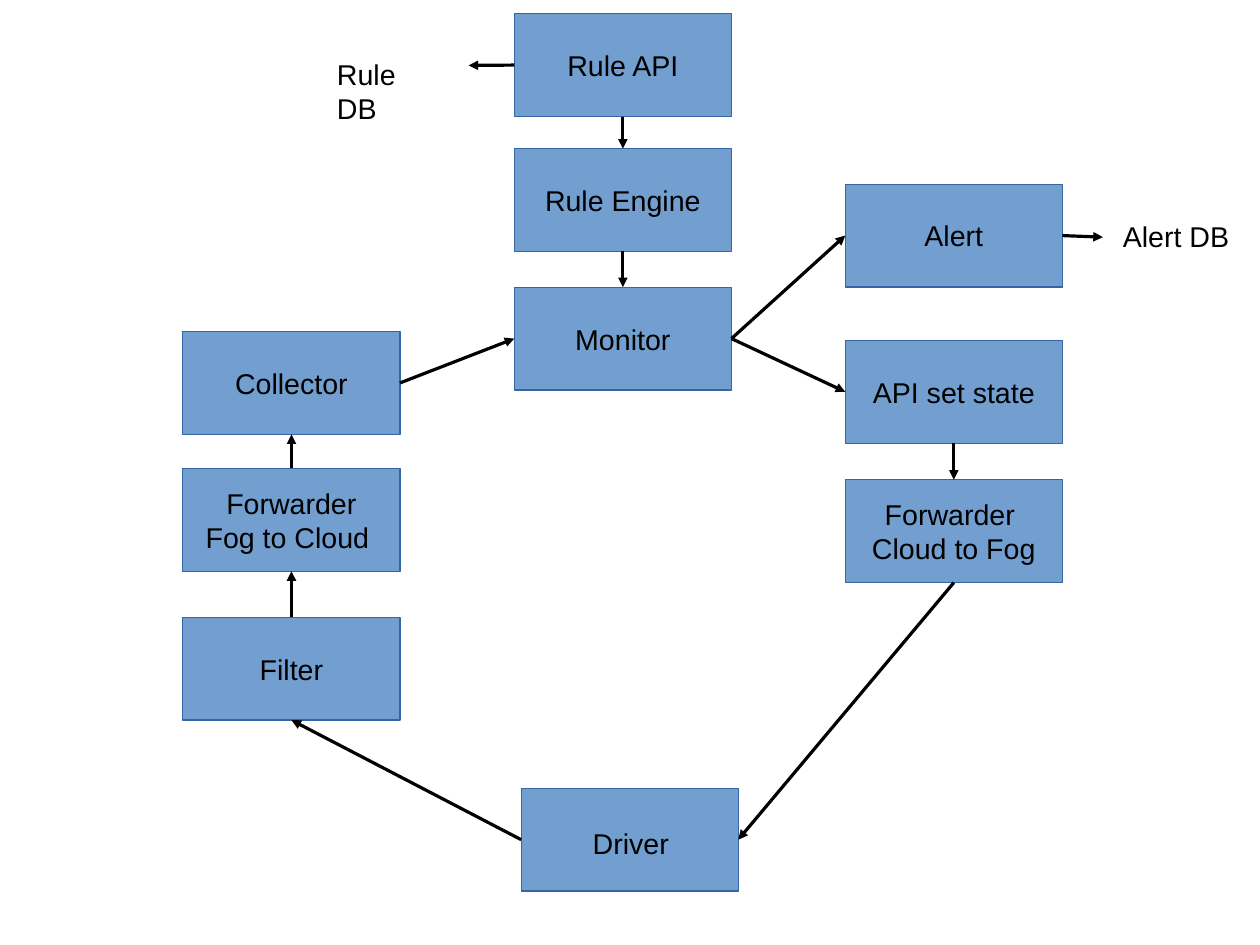
from lxml.etree import SubElement
from pptx import Presentation
from pptx.dml.color import RGBColor
from pptx.enum.shapes import MSO_CONNECTOR, MSO_SHAPE
from pptx.enum.text import MSO_ANCHOR, PP_ALIGN
from pptx.oxml.ns import qn
from pptx.util import Pt

COLORS = {"box": "729FCF", "border": "3465A4", "ink": "000000"}
BOX_WIDTH, BOX_HEIGHT = 136.8, 64.8
LEFT, MIDDLE, RIGHT = 115.2, 324, 532.5

# Connection sites of a rectangle
TOP_SITE, LEFT_SITE, BOTTOM_SITE, RIGHT_SITE = range(4)

# Name: (text, left, top)
BOXES = {
    "driver": ("", 328.3, 496.5),
    "filter": ("Filter", LEFT, 388.8),
    "collector": ("Collector", LEFT, 208.8),
    "fog_to_cloud": ("Forwarder\nFog to Cloud ", LEFT, 295),
    "monitor": ("Monitor", MIDDLE, 180.9),
    "alert": ("Alert", RIGHT, 116),
    "set_state": ("API set state", RIGHT, 214.4),
    "cloud_to_fog": ("Forwarder \nCloud to Fog", RIGHT, 302.2),
    "rule_engine": ("Rule Engine", MIDDLE, 93.6),
    "rule_api": ("Rule API", MIDDLE, 8.6),
}

# Source box, its site, target box, its site
FLOWS = [
    ("driver", LEFT_SITE, "filter", BOTTOM_SITE),
    ("filter", TOP_SITE, "fog_to_cloud", BOTTOM_SITE),
    ("fog_to_cloud", TOP_SITE, "collector", BOTTOM_SITE),
    ("collector", RIGHT_SITE, "monitor", LEFT_SITE),
    ("monitor", RIGHT_SITE, "alert", LEFT_SITE),
    ("monitor", RIGHT_SITE, "set_state", LEFT_SITE),
    ("rule_api", BOTTOM_SITE, "rule_engine", TOP_SITE),
    ("rule_engine", BOTTOM_SITE, "monitor", TOP_SITE),
    ("set_state", BOTTOM_SITE, "cloud_to_fog", TOP_SITE),
    ("cloud_to_fog", BOTTOM_SITE, "driver", RIGHT_SITE),
]


def color(name):
    return RGBColor.from_string(COLORS[name])


def format_text(text_frame, alignment):
    for paragraph in text_frame.paragraphs:
        paragraph.alignment = alignment
        for run in paragraph.runs:
            run.font.name = "Arial"
            run.font.size = Pt(18)
            run.font.color.rgb = color("ink")


def add_box(slide, text, left, top):
    shape = slide.shapes.add_shape(
        MSO_SHAPE.RECTANGLE, Pt(left), Pt(top), Pt(BOX_WIDTH), Pt(BOX_HEIGHT))
    shape.shadow.inherit = False
    shape.fill.solid()
    shape.fill.fore_color.rgb = color("box")
    shape.line.color.rgb = color("border")
    shape.line.width = Pt(0)
    if text:
        text_frame = shape.text_frame
        text_frame.text = text
        text_frame.word_wrap = False
        text_frame.vertical_anchor = MSO_ANCHOR.MIDDLE
        format_text(text_frame, PP_ALIGN.CENTER)
    return shape


def add_label(slide, text, left, top, width, wrap=True):
    shape = slide.shapes.add_textbox(Pt(left), Pt(top), Pt(width), Pt(27.4))
    shape.text_frame.text = text
    shape.text_frame.word_wrap = wrap
    format_text(shape.text_frame, PP_ALIGN.LEFT)


def add_arrow(slide, source, source_site, end_x=0, end_y=0):
    connector = slide.shapes.add_connector(
        MSO_CONNECTOR.STRAIGHT, 0, 0, Pt(end_x), Pt(end_y))
    connector.begin_connect(source, source_site)
    connector.line.color.rgb = color("ink")
    connector.line.width = Pt(0)
    SubElement(connector.line._get_or_add_ln(), qn("a:tailEnd"), type="triangle")
    SubElement(connector._element.spPr, qn("a:effectLst"))
    return connector


def main():
    presentation = Presentation()
    presentation.slide_width = Pt(793.75)
    presentation.slide_height = Pt(595.25)
    slide = presentation.slides.add_slide(presentation.slide_layouts[6])

    # Components
    boxes = {name: add_box(slide, *box) for name, box in BOXES.items()}
    add_label(slide, "Driver", 366.3, 517, 79.2)

    # Flow between components
    for source, source_site, target, target_site in FLOWS:
        connector = add_arrow(slide, boxes[source], source_site)
        connector.end_connect(boxes[target], target_site)

    # Databases
    add_arrow(slide, boxes["alert"], RIGHT_SITE, 694.8, 149.4)
    add_arrow(slide, boxes["rule_api"], LEFT_SITE, 295.2, 41.2)
    add_label(slide, "Rule DB", 205.2, 32.4, 78)
    add_label(slide, "Alert DB", 700.3, 134.6, 81.4, wrap=False)

    presentation.save("out.pptx")


main()
